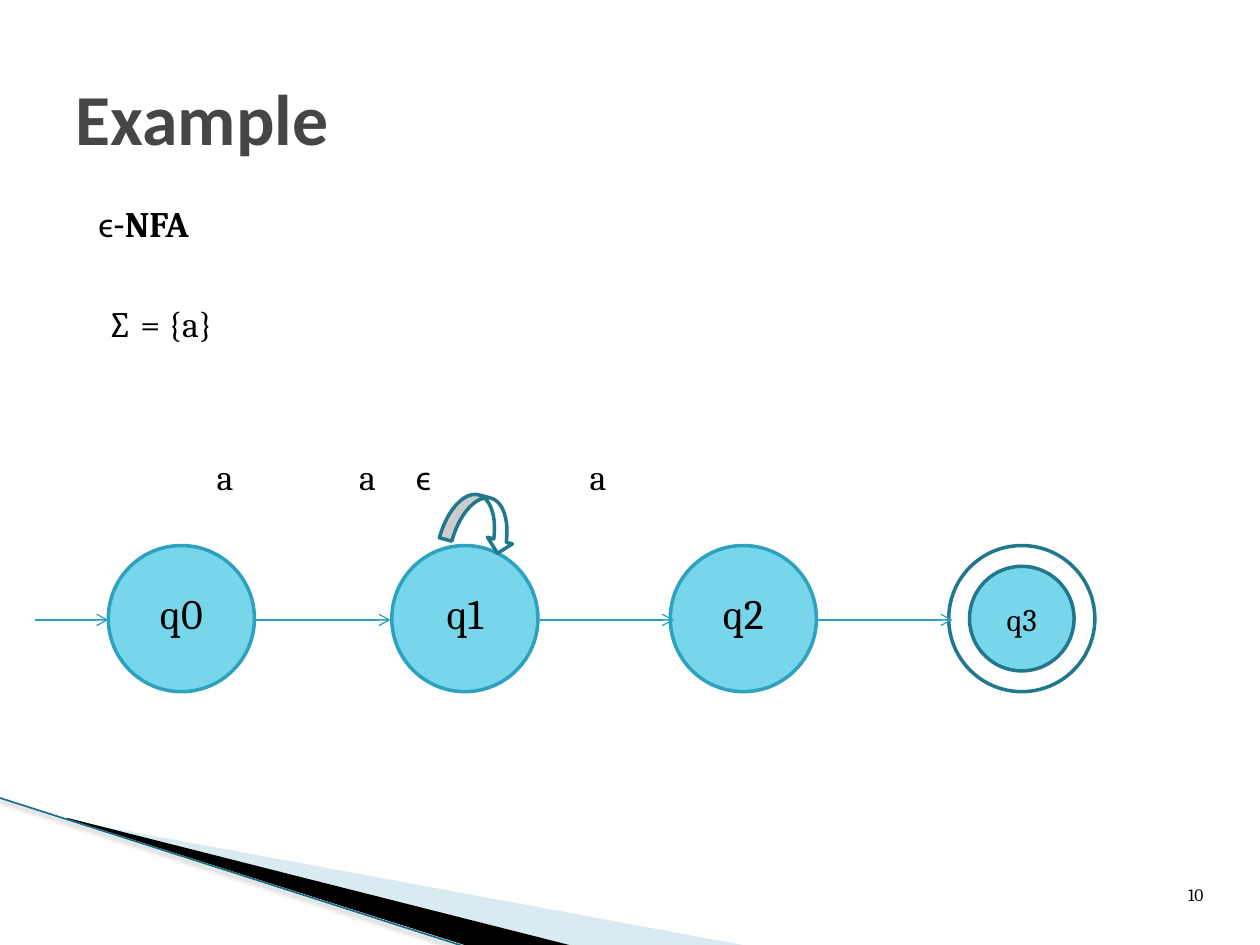
from pptx import Presentation
from pptx.dml.color import RGBColor
from pptx.enum.shapes import MSO_CONNECTOR, MSO_SHAPE
from pptx.enum.text import MSO_ANCHOR, MSO_AUTO_SIZE, PP_ALIGN
from pptx.oxml import parse_xml
from pptx.oxml.ns import nsdecls, qn
from pptx.util import Inches, Pt

COLORS = {
    "title": "464646", "text": "000000", "state": "78D6EA", "state_line": "2DA2BF",
    "dark_line": "21788D", "arrow": "28A0BE", "white": "FFFFFF",
    "pale_wedge": "A0CBDC", "black_wedge": "000000", "edge": "196F85",
}
TITLE = "Example"
BODY = [
    {"indent": 0.18, "before": 4,
     "runs": [("ϵ-", "Calibri", False), ("NFA", "Cambria", True)]},
    {"indent": 0.25, "before": 32.6, "runs": [("∑ = {a}", "Cambria", False)]},
]
LABELS = [("a", 1.72, "Cambria"), ("a", 2.85, "Cambria"),
          ("ϵ", 3.3, "Calibri"), ("a", 4.68, "Cambria")]
LABEL_TOP, LABEL_WIDTH, LABEL_HEIGHT = 3.55, 0.3, 0.4
PAGE_NUMBER = "10"
STATES = [("q0", 0.86), ("q1", 3.11), ("q2", 5.32)]
FINAL_STATE = ("q3", 7.53)
STATE_TOP, STATE_SIZE, FINAL_SIZE = 4.33, 1.16, 0.83
ARROW_Y, ARROW_LENGTH, START_X = 4.92, 1.08, 0.28
WEDGES = [
    ("pale_wedge", 40, [(0.55, 6.51), (5.95, 7.51), (4.56, 7.51), (0.55, 6.5)]),
    ("black_wedge", 100, [(0.53, 6.49), (4.56, 7.51), (3.72, 7.51), (0.54, 6.5)]),
]
EDGE = (-0.01, 6.33, 3.71, 7.52)


def color(name):
    return RGBColor.from_string(COLORS[name])


def add_run(paragraph, text, size, font="Cambria", bold=False, fill="text"):
    run = paragraph.add_run()
    run.text = text
    run.font.size, run.font.name, run.font.bold = Pt(size), font, bold
    run.font.color.rgb = color(fill)


def place(shape, left, top, width, height):
    shape.left, shape.top = Inches(left), Inches(top)
    shape.width, shape.height = Inches(width), Inches(height)


def add_wedge(slide, fill, opacity, points):
    corners = [(Inches(x), Inches(y)) for x, y in points]
    builder = slide.shapes.build_freeform(*corners[0], scale=1.0)
    builder.add_line_segments(corners[1:], close=True)
    shape = builder.convert_to_shape()
    shape.shadow.inherit = False
    shape.fill.solid()
    shape.fill.fore_color.rgb = color(fill)
    shape.line.fill.background()
    if opacity < 100:
        value = shape.fill._xPr.find(".//" + qn("a:srgbClr"))
        value.append(parse_xml(f'<a:alpha {nsdecls("a")} val="{opacity * 1000}"/>'))


def add_line(slide, ends, line_color, width, arrow=False, effect=""):
    line = slide.shapes.add_connector(MSO_CONNECTOR.STRAIGHT, *map(Inches, ends))
    line.line.color.rgb = color(line_color)
    line.line.width = Pt(width)
    if arrow:
        line.line._get_or_add_ln().append(
            parse_xml(f'<a:tailEnd {nsdecls("a")} type="arrow"/>'))
    line._element.spPr.append(
        parse_xml(f'<a:effectLst {nsdecls("a")}>{effect}</a:effectLst>'))


def add_shape(slide, kind, left, top, width, height, fill, line):
    shape = slide.shapes.add_shape(kind, *map(Inches, (left, top, width, height)))
    shape.shadow.inherit = False
    shape.fill.solid()
    shape.fill.fore_color.rgb = color(fill)
    shape.line.color.rgb = color(line)
    shape.line.width = Pt(2)
    return shape


def add_state(slide, left, top, size, fill, line, name="", text_size=24):
    state = add_shape(slide, MSO_SHAPE.OVAL, left, top, size, size, fill, line)
    if name:
        frame = state.text_frame
        frame.word_wrap = False
        frame.vertical_anchor = MSO_ANCHOR.MIDDLE
        frame.margin_bottom = Inches(0.14 if text_size == 24 else 0.05)
        frame.paragraphs[0].alignment = PP_ALIGN.CENTER
        add_run(frame.paragraphs[0], name, text_size)


def add_title(slide):
    title = slide.shapes.title
    place(title, 0.5, 0.3, 9, 1.25)
    title.text_frame.vertical_anchor = MSO_ANCHOR.MIDDLE
    paragraph = title.text_frame.paragraphs[0]
    paragraph.alignment = PP_ALIGN.LEFT
    add_run(paragraph, TITLE, 41, "Calibri", True, "title")


def add_body(slide):
    body = slide.placeholders[1]
    place(body, 0.5, 1.55, 9, 4.95)
    frame = body.text_frame
    frame.auto_size = MSO_AUTO_SIZE.NONE
    for index, item in enumerate(BODY):
        paragraph = frame.add_paragraph() if index else frame.paragraphs[0]
        paragraph.space_before = Pt(item["before"])
        properties = paragraph._p.get_or_add_pPr()
        properties.set("marL", str(Inches(item["indent"])))
        properties.set("indent", "0")
        properties.append(parse_xml(f'<a:buNone {nsdecls("a")}/>'))
        for text, font, bold in item["runs"]:
            add_run(paragraph, text, 20.5, font, bold)


def add_text(slide, text, left, top, width, height, size, font, alignment):
    box = slide.shapes.add_textbox(*map(Inches, (left, top, width, height)))
    frame = box.text_frame
    frame.word_wrap = True
    frame.vertical_anchor = MSO_ANCHOR.BOTTOM
    frame.paragraphs[0].alignment = alignment
    add_run(frame.paragraphs[0], text, size, font)
    return frame


def add_labels(slide):
    for text, left, font in LABELS:
        frame = add_text(slide, text, left, LABEL_TOP, LABEL_WIDTH, LABEL_HEIGHT,
                         20.5, font, PP_ALIGN.LEFT)
        frame.margin_left = frame.margin_right = 0
        frame.margin_top = frame.margin_bottom = 0


def add_automaton(slide):
    for name, left in STATES:
        add_state(slide, left, STATE_TOP, STATE_SIZE, "state", "state_line", name)
    name, left = FINAL_STATE
    inset = (STATE_SIZE - FINAL_SIZE) / 2
    add_state(slide, left, STATE_TOP, STATE_SIZE, "white", "dark_line")
    add_state(slide, left + inset, STATE_TOP + inset, FINAL_SIZE,
              "state", "dark_line", name, 18)
    spans = [(START_X, STATES[0][1])]
    for _, left in STATES:
        start = left + STATE_SIZE
        spans.append((start, start + ARROW_LENGTH))
    for start, end in spans:
        add_line(slide, (start, ARROW_Y, end, ARROW_Y), "arrow", 0.75, arrow=True)
    loop = add_shape(slide, MSO_SHAPE.CURVED_DOWN_ARROW, 3.53, 3.94, 0.58, 0.41,
                     "white", "dark_line")
    loop.rotation = 14.9


def main():
    """Build the slide with the automaton and save it."""
    presentation = Presentation()
    presentation.slide_width, presentation.slide_height = Inches(10), Inches(7.5)
    slide = presentation.slides.add_slide(presentation.slide_layouts[1])
    for fill, opacity, points in WEDGES:
        add_wedge(slide, fill, opacity, points)
    shadow = (f'<a:outerShdw blurRad="{Pt(3.1)}" dist="{Pt(1.6)}" dir="5400000">'
              '<a:srgbClr val="000000"><a:alpha val="38000"/></a:srgbClr></a:outerShdw>')
    add_line(slide, EDGE, "edge", 0.96, effect=shadow)
    add_title(slide)
    add_body(slide)
    add_text(slide, PAGE_NUMBER, 9.25, 6.83, 0.4, 0.4, 10, "Cambria", PP_ALIGN.RIGHT)
    add_automaton(slide)
    add_labels(slide)
    presentation.save("out.pptx")


if __name__ == "__main__":
    main()
